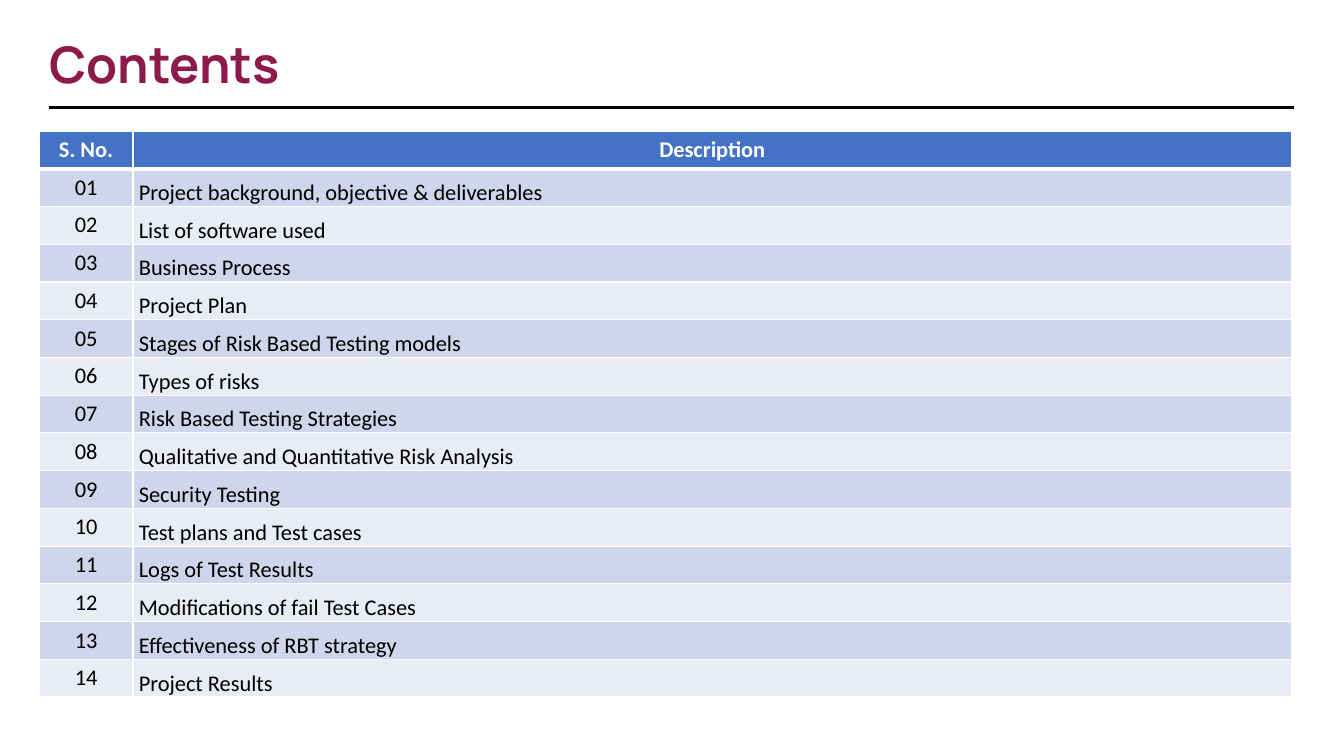
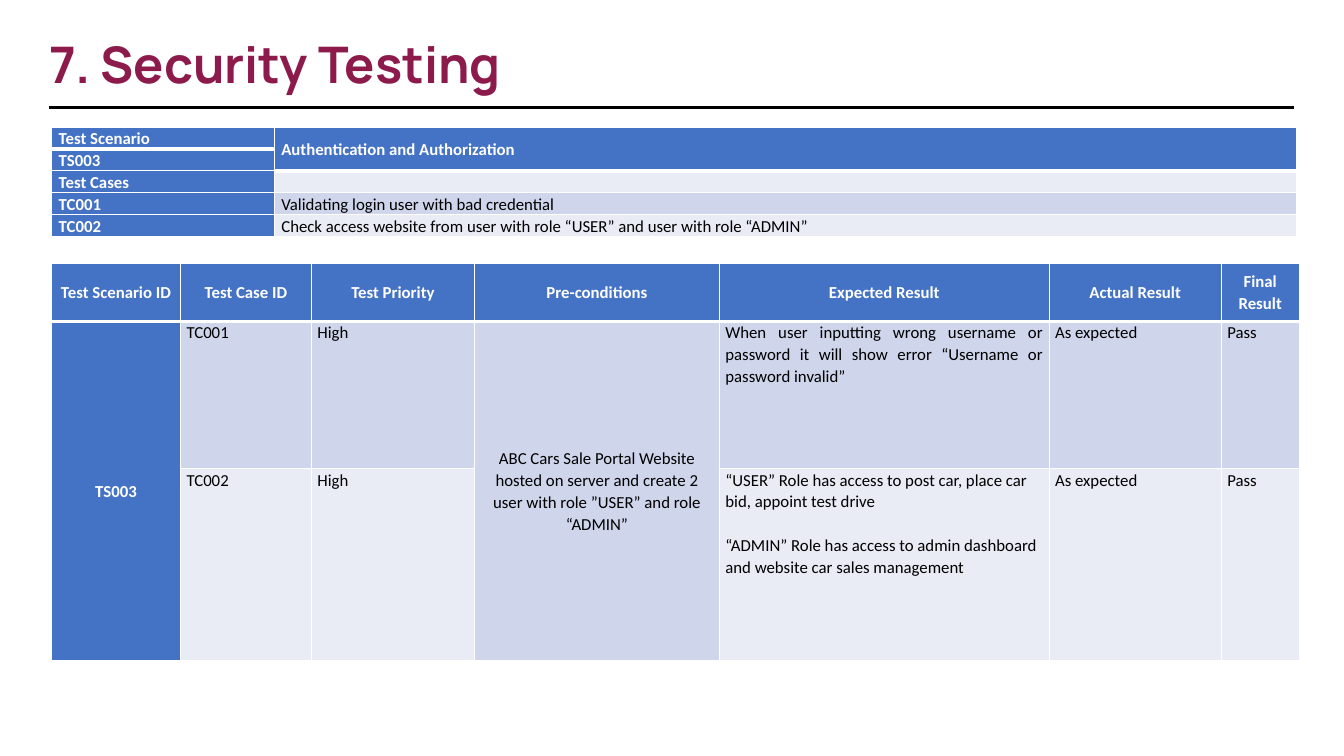
from dataclasses import dataclass, replace

from lxml import etree
from pptx import Presentation
from pptx.dml.color import RGBColor
from pptx.enum.shapes import MSO_CONNECTOR
from pptx.enum.text import MSO_ANCHOR, MSO_AUTO_SIZE, PP_ALIGN
from pptx.oxml.ns import qn
from pptx.util import Cm, Pt

MAROON, BLACK, WHITE = "8C1A4B", "000000", "FFFFFF"
HEADER_BLUE, DARK_BAND, LIGHT_BAND = "4472C4", "CFD5EA", "E9EBF5"
TITLE_FONT, BODY_FONT = "Manrope", "Calibri"


def rgb(code):
    return RGBColor.from_string(code)


@dataclass(frozen=True)
class CellLook:
    size: int = 12
    color: str = BLACK
    bold: bool = False
    fill: str = ""
    align: PP_ALIGN = PP_ALIGN.LEFT
    anchor: MSO_ANCHOR = MSO_ANCHOR.TOP
    margins: tuple = (0.15, 0, 0.15, 0)
    line_spacing: float = 1.07
    paragraph_gap: float = 15.7


class Deck:
    def __init__(self):
        self.presentation = Presentation()
        self.presentation.slide_width = Cm(33.87)
        self.presentation.slide_height = Cm(19.05)
        self.layout = self.presentation.slide_layouts[5]
        self.slide = None

    def add_slide(self, heading, width):
        first = self.slide is None
        self.slide = self.presentation.slides.add_slide(self.layout)
        if first:
            self.add_shared_rule()
        title = self.slide.shapes.title
        title.left, title.top = Cm(0.99), Cm(0.69)
        title.width, title.height = Cm(width), Cm(1.8)
        frame = title.text_frame
        frame.word_wrap = True
        frame.auto_size = MSO_AUTO_SIZE.NONE
        frame.vertical_anchor = MSO_ANCHOR.MIDDLE
        paragraph = frame.paragraphs[0]
        paragraph.alignment = PP_ALIGN.LEFT
        self.add_run(paragraph, heading, TITLE_FONT, 36, MAROON, True)

    def add_shared_rule(self):
        rule = self.slide.shapes.add_connector(
            MSO_CONNECTOR.STRAIGHT, Cm(1.24), Cm(2.7), Cm(32.61), Cm(2.7))
        rule.line.color.rgb = rgb(BLACK)
        rule.line.width = Pt(2)
        properties = rule.element.find(qn("p:spPr"))
        etree.SubElement(properties, qn("a:effectLst"))
        self.layout.shapes.element.append(rule.element)

    def add_run(self, paragraph, text, font, size, color, bold):
        run = paragraph.add_run()
        run.text = text
        run.font.name = font
        run.font.size = Pt(size)
        run.font.bold = bold
        run.font.color.rgb = rgb(color)

    def add_table(self, left, top, widths, heights, rows, look_at, merges=()):
        table = self.slide.shapes.add_table(
            len(rows), len(widths), Cm(left), Cm(top),
            Cm(sum(widths)), Cm(sum(heights))).table
        for column, width in zip(table.columns, widths):
            column.width = Cm(width)
        for line, height in zip(table.rows, heights):
            line.height = Cm(height)
        for r, texts in enumerate(rows):
            for c, text in enumerate(texts):
                look = look_at(r, c)
                band = DARK_BAND if r % 2 else LIGHT_BAND
                cell = table.cell(r, c)
                self.fill_cell(cell, text, look, look.fill or band)
                self.add_borders(cell, r)
        for start, end in merges:
            table.cell(*start).merge(table.cell(*end))

    def fill_cell(self, cell, text, look, fill):
        cell.fill.solid()
        cell.fill.fore_color.rgb = rgb(fill)
        cell.vertical_anchor = look.anchor
        (cell.margin_left, cell.margin_top,
         cell.margin_right, cell.margin_bottom) = map(Cm, look.margins)
        frame = cell.text_frame
        for i, part in enumerate(text.split("\n")):
            paragraph = frame.add_paragraph() if i else frame.paragraphs[0]
            paragraph.alignment = look.align
            paragraph.line_spacing = look.line_spacing
            if i:
                paragraph.space_before = Pt(look.paragraph_gap)
            if part:
                self.add_run(paragraph, part, BODY_FONT, look.size,
                             look.color, look.bold)
            etree.SubElement(paragraph._p, qn("a:endParaRPr"),
                             sz=str(look.size * 100))

    def add_borders(self, cell, row):
        widths = {"a:lnL": 1, "a:lnR": 1}
        if row < 2:
            widths["a:lnT"] = 3 if row else 1
        widths["a:lnB"] = 1 if row else 3
        properties = cell._tc.get_or_add_tcPr()
        for i, (side, width) in enumerate(widths.items()):
            border = etree.Element(qn(side), w=str(Pt(width)))
            solid = etree.SubElement(border, qn("a:solidFill"))
            etree.SubElement(solid, qn("a:srgbClr"), val=WHITE)
            properties.insert(i, border)


CENTERED = CellLook(align=PP_ALIGN.CENTER, anchor=MSO_ANCHOR.MIDDLE)
HEADER = replace(CENTERED, color=WHITE, bold=True, fill=HEADER_BLUE)
NUMBER = replace(CENTERED, size=16, line_spacing=1,
                 margins=(0.25, 0.13, 0.25, 0.13))
CONTENTS_HEADER = replace(NUMBER, color=WHITE, bold=True, fill=HEADER_BLUE)
TOPIC = CellLook(size=16, line_spacing=1, anchor=MSO_ANCHOR.BOTTOM,
                 margins=(0.15, 0.03, 0.03, 0))
SCENARIO = CellLook(margins=(0.18, 0, 0.18, 0))
SCENARIO_HEADER = replace(SCENARIO, color=WHITE, bold=True, fill=HEADER_BLUE)
RESULT = CellLook(align=PP_ALIGN.JUSTIFY)


def contents_look(row, column):
    if row == 0:
        return CONTENTS_HEADER
    return TOPIC if column else NUMBER


def scenario_look(row, column):
    if column == 0:
        return SCENARIO_HEADER
    if row < 2:
        return replace(SCENARIO_HEADER, anchor=MSO_ANCHOR.MIDDLE)
    return SCENARIO


def result_look(row, column):
    if row == 0 or column == 0:
        return HEADER
    if column == 3:
        return CENTERED
    return CellLook() if (row, column) == (2, 4) else RESULT


topics = [
    "Project background, objective & deliverables",
    "List of software used",
    "Business Process",
    "Project Plan",
    "Stages of Risk Based Testing models",
    "Types of risks",
    "Risk Based Testing Strategies",
    "Qualitative and Quantitative Risk Analysis",
    "Security Testing",
    "Test plans and Test cases",
    "Logs of Test Results",
    "Modifications of fail Test Cases",
    "Effectiveness of RBT strategy",
    "Project Results",
]
contents = [("S. No.", "Description")]
contents += [(f"{number:02}", topic) for number, topic in enumerate(topics, 1)]

scenario = [
    ("Test Scenario", "Authentication and Authorization"),
    ("TS003", ""),
    ("Test Cases", ""),
    ("TC001", "Validating login user with bad credential"),
    ("TC002", "Check access website from user with role “USER” "
              "and user with role “ADMIN”"),
]

results = [
    ("Test Scenario ID", "Test Case ID", "Test Priority", "Pre-conditions",
     "Expected Result", "Actual Result", "Final Result"),
    ("TS003", "TC001", "High",
     "ABC Cars Sale Portal Website hosted on server and create 2 user "
     "with role ”USER” and role “ADMIN”",
     "When user inputting wrong username or password it will show error "
     "“Username or password invalid”", "As expected", "Pass"),
    ("", "TC002", "High", "",
     "“USER” Role has access to post car, place car bid, appoint test drive\n"
     "“ADMIN” Role has access to admin dashboard and website car sales "
     "management", "As expected", "Pass"),
]

deck = Deck()

deck.add_slide("Contents", 16.94)
deck.add_table(0.99, 3.3, [2.36, 29.2], [0.93] * len(contents),
               contents, contents_look)

deck.add_slide("7. Security Testing", 23.72)
deck.add_table(1.3, 3.2, [5.61, 25.76], [0.54] * len(scenario),
               scenario, scenario_look, [((0, 1), (1, 1))])
deck.add_table(1.3, 6.63, [3.25, 3.3, 4.11, 6.17, 8.31, 4.34, 1.96],
               [1.47, 3.71, 4.83], results, result_look,
               [((1, 0), (2, 0)), ((1, 3), (2, 3))])

deck.presentation.save("out.pptx")
